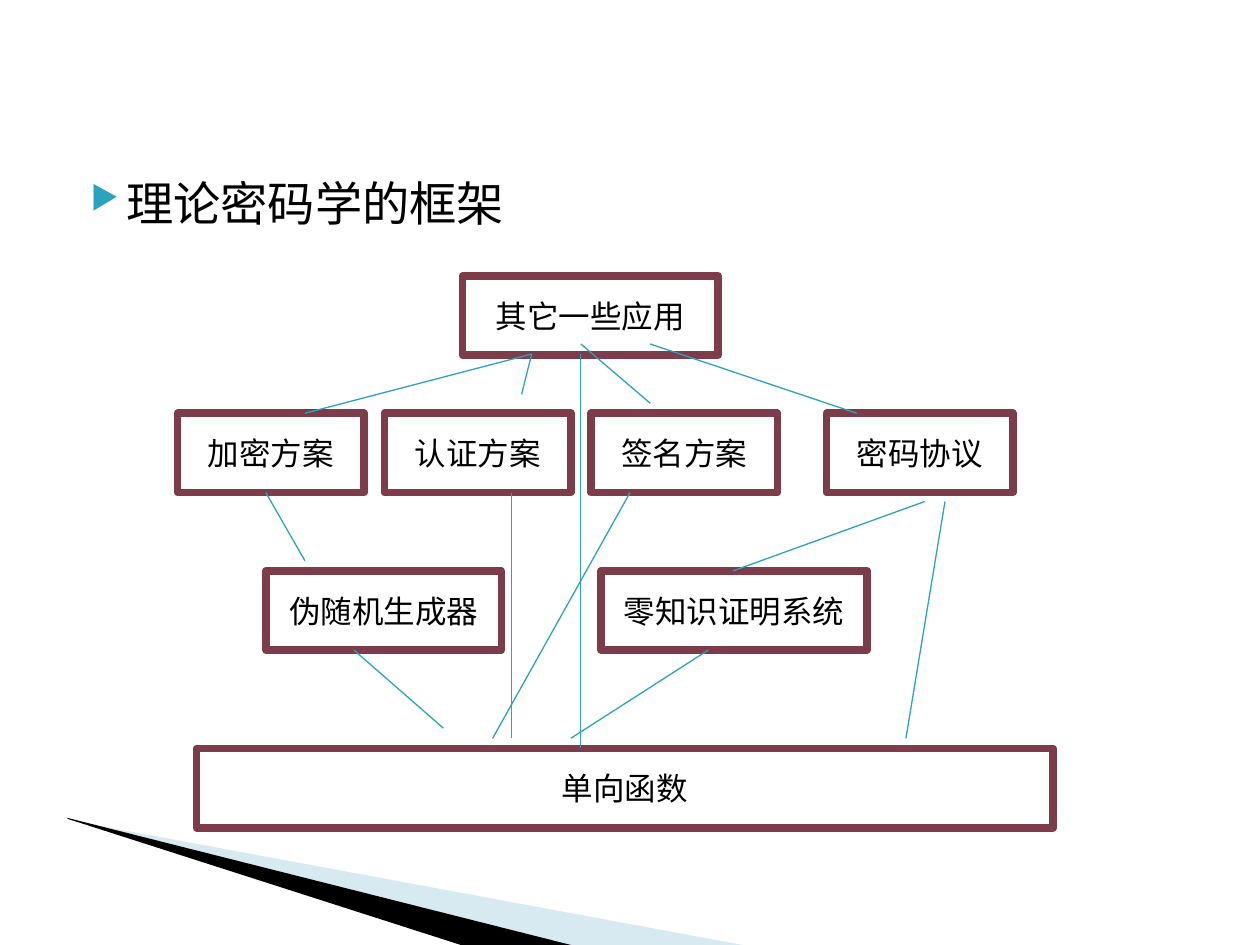
from dataclasses import dataclass

import lxml.etree
import pptx
import pptx.dml.color
import pptx.enum.shapes
import pptx.enum.text
import pptx.oxml.ns
import pptx.util

Inches = pptx.util.Inches
qn = pptx.oxml.ns.qn


@dataclass(frozen=True)
class Theme:
    font: str = "DejaVu Sans Mono"
    ink: str = "000000"
    paper: str = "FFFFFF"
    accent: str = "2DA2BF"
    frame: str = "7D3C4A"
    wedge: str = "9FCBDC"
    heading_size: float = 27
    box_size: float = 18
    frame_width: float = 4.34
    link_width: float = 0.75


def rgb(value):
    return pptx.dml.color.RGBColor.from_string(value)


def add_element(parent, tag, **attributes):
    return lxml.etree.SubElement(parent, qn(tag), attributes)


class FrameworkSlide:
    def __init__(self, deck, theme):
        self.theme = theme
        self.slide = deck.slides.add_slide(deck.slide_layouts[5])
        self.shapes = self.slide.shapes

    def format_runs(self, paragraph, size):
        for run in paragraph.runs:
            run.font.size = pptx.util.Pt(size)
            run.font.color.rgb = rgb(self.theme.ink)
            run.font.name = self.theme.font
            add_element(run.font._element, "a:ea", typeface=self.theme.font)

    def wedge(self, points, color, opacity=100):
        (left, top), *others = [(Inches(x), Inches(y)) for x, y in points]
        outline = self.shapes.build_freeform(left, top)
        outline.add_line_segments(others, close=True)
        wedge = outline.convert_to_shape()
        wedge.shadow.inherit = False
        wedge.line.fill.background()
        wedge.fill.solid()
        wedge.fill.fore_color.rgb = rgb(color)
        if opacity < 100:
            fill_color = wedge._element.spPr.find(".//" + qn("a:srgbClr"))
            add_element(fill_color, "a:alpha", val=str(opacity * 1000))

    def heading(self, text, left, top, width, height):
        heading = self.shapes.title
        heading.left, heading.top = Inches(left), Inches(top)
        heading.width, heading.height = Inches(width), Inches(height)
        frame = heading.text_frame
        frame.text = text
        frame.word_wrap = True
        frame.auto_size = pptx.enum.text.MSO_AUTO_SIZE.NONE
        frame.vertical_anchor = pptx.enum.text.MSO_ANCHOR.TOP
        paragraph = frame.paragraphs[0]
        paragraph.alignment = pptx.enum.text.PP_ALIGN.LEFT
        properties = paragraph._p.get_or_add_pPr()
        properties.set("marL", str(Inches(0.4)))
        properties.set("indent", str(Inches(-0.28)))
        bullet_color = add_element(properties, "a:buClr")
        add_element(bullet_color, "a:srgbClr", val=self.theme.accent)
        add_element(properties, "a:buSzPct", val="68000")
        add_element(properties, "a:buChar", char="▶")
        self.format_runs(paragraph, self.theme.heading_size)

    def box(self, text, left, top, width, height=0.63):
        box = self.shapes.add_shape(
            pptx.enum.shapes.MSO_SHAPE.RECTANGLE,
            Inches(left), Inches(top), Inches(width), Inches(height),
        )
        box.shadow.inherit = False
        box.fill.solid()
        box.fill.fore_color.rgb = rgb(self.theme.paper)
        box.line.color.rgb = rgb(self.theme.frame)
        box.line.width = pptx.util.Pt(self.theme.frame_width)
        frame = box.text_frame
        frame.text = text
        frame.vertical_anchor = pptx.enum.text.MSO_ANCHOR.MIDDLE
        frame.paragraphs[0].alignment = pptx.enum.text.PP_ALIGN.CENTER
        self.format_runs(frame.paragraphs[0], self.theme.box_size)

    def link(self, start, end):
        link = self.shapes.add_connector(
            pptx.enum.shapes.MSO_CONNECTOR.STRAIGHT,
            *(Inches(value) for value in (*start, *end)),
        )
        link.line.color.rgb = rgb(self.theme.accent)
        link.line.width = pptx.util.Pt(self.theme.link_width)
        add_element(link._element.spPr, "a:effectLst")


def main():
    deck = pptx.Presentation()
    deck.slide_width, deck.slide_height = Inches(10), Inches(7.5)
    theme = Theme()
    page = FrameworkSlide(deck, theme)

    page.wedge([(0.55, 6.51), (5.95, 7.51), (4.56, 7.51), (0.55, 6.5)], theme.wedge, 40)
    page.wedge([(0.53, 6.49), (4.57, 7.51), (3.72, 7.52), (0.54, 6.5)], theme.ink)
    page.heading("理论密码学的框架", 0.5, 1.33, 9, 0.65)

    schemes = {"加密方案": 1.41, "认证方案": 3.05, "签名方案": 4.69, "密码协议": 6.56}
    for scheme, left in schemes.items():
        page.box(scheme, left, 3.28, 1.48)
    page.box("伪随机生成器", 2.11, 4.53, 1.87)
    page.box("零知识证明系统", 4.77, 4.53, 2.11)
    page.box("单向函数", 1.56, 5.94, 6.8)
    page.box("其它一些应用", 3.67, 2.19, 2.03)

    applications_to_schemes = [
        ((4.22, 2.81), (2.42, 3.28)),
        ((4.22, 2.81), (4.14, 3.13)),
        ((4.61, 2.73), (5.16, 3.2)),
        ((5.16, 2.73), (6.8, 3.28)),
    ]
    schemes_to_tools = [
        ((2.11, 3.91), (2.42, 4.45)),
        ((7.34, 3.98), (5.82, 4.53)),
    ]
    links_to_one_way_function = [
        ((2.81, 5.16), (3.52, 5.78)),
        ((5.62, 5.16), (4.53, 5.86)),
        ((4.06, 3.91), (4.06, 5.86)),
        ((5, 3.91), (3.91, 5.86)),
        ((7.5, 3.98), (7.19, 5.86)),
        ((4.61, 2.81), (4.61, 5.94)),
    ]
    for start, end in applications_to_schemes + schemes_to_tools + links_to_one_way_function:
        page.link(start, end)

    deck.save("out.pptx")


if __name__ == "__main__":
    main()
